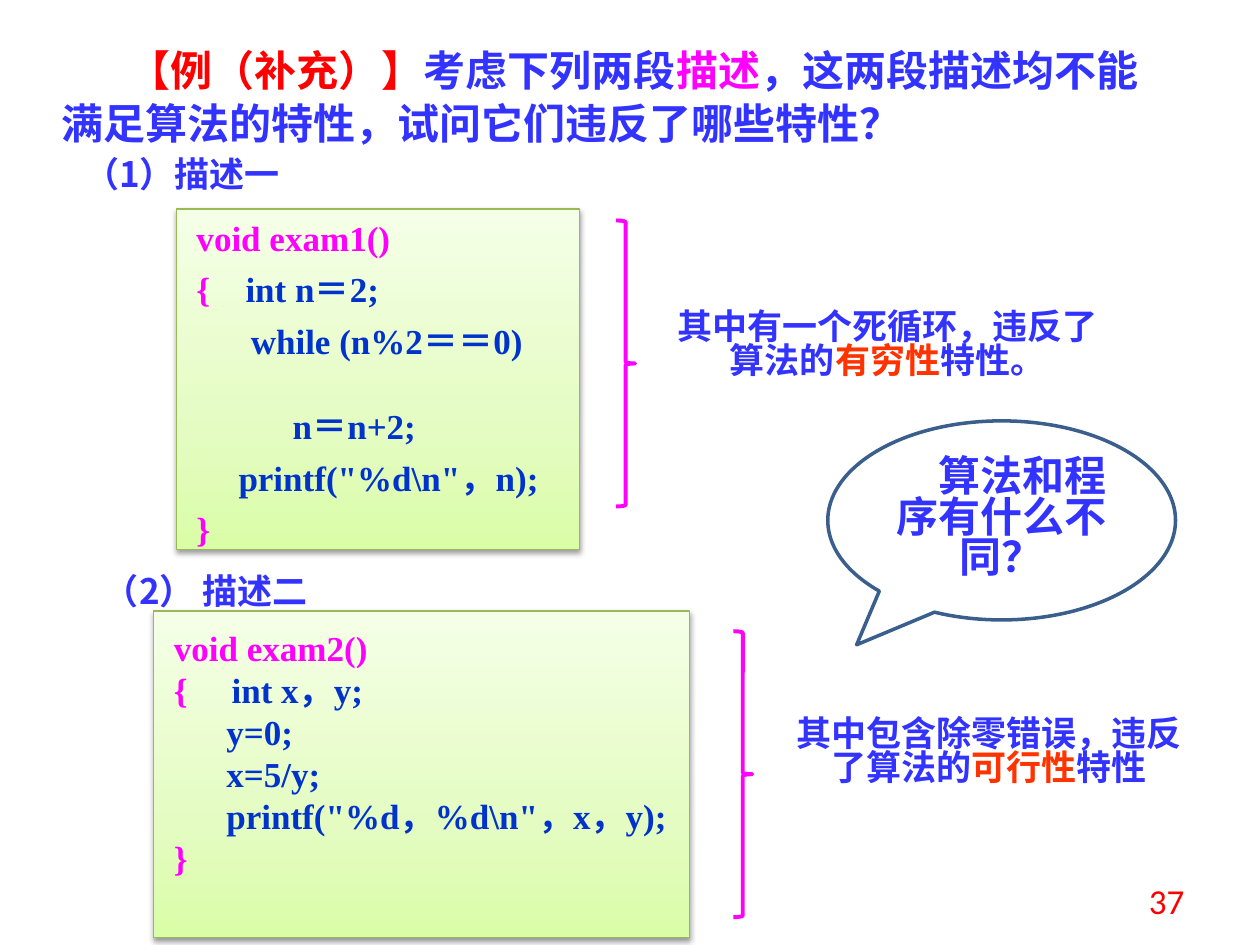
import pptx
import pptx.dml.color
import pptx.enum.shapes
import pptx.enum.text
import pptx.oxml
import pptx.oxml.ns
import pptx.util

COLUMNS, ROWS = 100, 75
WIDTH, HEIGHT = pptx.util.Inches(10), pptx.util.Inches(7.5)
SHAPES = pptx.enum.shapes.MSO_SHAPE
ALIGN = pptx.enum.text.PP_ALIGN
ANCHOR = pptx.enum.text.MSO_ANCHOR
SERIF, SANS, CHINESE = "Times New Roman", "Calibri", "Noto Sans CJK SC"
BLUE, NAVY, MAGENTA, RED, ORANGE = "3333FF", "0033CC", "FF00FF", "FF0000", "FF3300"
GRADIENT = [(0, "DAFDA7"), (35, "E4FCC2"), (100, "F5FFE7")]


def rgb(value):
    return pptx.dml.color.RGBColor.from_string(value)


def place(column, row, columns, rows):
    """Turn grid columns and rows into left, top, width and height."""
    return (int(WIDTH * column / COLUMNS), int(HEIGHT * row / ROWS),
            int(WIDTH * columns / COLUMNS), int(HEIGHT * rows / ROWS))


def set_values(target, values):
    for name, value in values.items():
        setattr(target, name, value)


def add_runs(paragraph, runs, size, font, bold=True):
    for text, color in runs:
        run = paragraph.add_run()
        run.text = text
        set_values(run.font, {"size": pptx.util.Pt(size), "bold": bold, "name": font})
        run.font.color.rgb = rgb(color)
        east_asian = pptx.oxml.parse_xml(
            f'<a:ea {pptx.oxml.ns.nsdecls("a")} typeface="{CHINESE}"/>')
        run.font._element.find(pptx.oxml.ns.qn("a:latin")).addnext(east_asian)


def format_paragraph(paragraph, align, pitch, before=0, margin=0, indent=0):
    """Set alignment, line pitch, space before and indents, all in points."""
    set_values(paragraph, {"alignment": align,
                           "line_spacing": pptx.util.Pt(pitch),
                           "space_before": pptx.util.Pt(before)})
    properties = paragraph._p.get_or_add_pPr()
    properties.set("marL", str(pptx.util.Pt(margin)))
    properties.set("indent", str(pptx.util.Pt(indent)))


def prepare_frame(shape, anchor=ANCHOR.TOP, inset=(0.1, 0.05)):
    frame = shape.text_frame
    across, down = (pptx.util.Inches(length) for length in inset)
    set_values(frame, {"word_wrap": True, "vertical_anchor": anchor,
                       "auto_size": pptx.enum.text.MSO_AUTO_SIZE.NONE,
                       "margin_left": across, "margin_right": across,
                       "margin_top": down, "margin_bottom": down})
    return frame


def add_title(slide, area, runs):
    title = slide.shapes.title
    set_values(title, dict(zip(("left", "top", "width", "height"), place(*area))))
    paragraph = prepare_frame(title).paragraphs[0]
    format_paragraph(paragraph, ALIGN.JUSTIFY, 30, indent=38)
    add_runs(paragraph, runs, 24, SERIF)


def add_text(slide, area, runs, font=CHINESE, align=ALIGN.CENTER, pitch=19.5,
             bold=True, anchor=ANCHOR.TOP):
    box = slide.shapes.add_textbox(*place(*area))
    paragraph = prepare_frame(box, anchor).paragraphs[0]
    format_paragraph(paragraph, align, pitch)
    add_runs(paragraph, runs, 20, font, bold)


def add_outline(slide, kind, area, color, weight):
    shape = slide.shapes.add_shape(kind, *place(*area))
    shape.shadow.inherit = False
    shape.fill.background()
    shape.line.color.rgb = rgb(color)
    shape.line.width = pptx.util.Pt(weight)
    return shape


def add_code(slide, area, lines, pitch):
    """Add a green panel; each line is its runs and its paragraph format."""
    panel = add_outline(slide, SHAPES.RECTANGLE, area, "98B955", 0.75)
    namespace = pptx.oxml.ns.nsdecls("a")
    stops = "".join(f'<a:gs pos="{share * 1000}"><a:srgbClr val="{color}"/></a:gs>'
                    for share, color in GRADIENT)
    properties = panel._element.spPr
    no_fill = properties.find(pptx.oxml.ns.qn("a:noFill"))
    properties.replace(no_fill, pptx.oxml.parse_xml(
        f'<a:gradFill {namespace} rotWithShape="1"><a:gsLst>{stops}</a:gsLst>'
        '<a:lin ang="16200000" scaled="1"/></a:gradFill>'))
    properties.find(pptx.oxml.ns.qn("a:effectLst")).append(pptx.oxml.parse_xml(
        f'<a:outerShdw {namespace} blurRad="{pptx.util.Pt(3.1)}" '
        f'dist="{pptx.util.Pt(1.6)}" dir="5400000" rotWithShape="0">'
        '<a:srgbClr val="000000"><a:alpha val="38000"/></a:srgbClr></a:outerShdw>'))
    frame = prepare_frame(panel, inset=(0.16, 0.12))
    for number, (runs, layout) in enumerate(lines):
        paragraph = frame.add_paragraph() if number else frame.paragraphs[0]
        format_paragraph(paragraph, ALIGN.JUSTIFY, pitch, **layout)
        add_runs(paragraph, runs, 20, SERIF)


def add_callout(slide, area, text):
    callout = add_outline(slide, SHAPES.OVAL_CALLOUT, area, "3A5F8C", 2)
    callout.adjustments[0], callout.adjustments[1] = -0.417, 0.625
    paragraph = prepare_frame(callout, ANCHOR.MIDDLE).paragraphs[0]
    format_paragraph(paragraph, ALIGN.CENTER, 23, indent=24)
    add_runs(paragraph, [(text, BLUE)], 24, CHINESE)


def main():
    presentation = pptx.Presentation()
    set_values(presentation, {"slide_width": WIDTH, "slide_height": HEIGHT})
    slide = presentation.slides.add_slide(presentation.slide_layouts[5])

    add_title(slide, (3.9, 2.9, 87.5, 9), [
        ("【例（补充）】", RED), ("考虑下列两段", BLUE), ("描述", MAGENTA),
        ("，这两段描述均不能满足算法的特性，试问它们违反了哪些特性？", BLUE)])

    add_text(slide, (0.4, 12.2, 28.1, 3.7), [("（1）描述一", BLUE)])
    add_code(slide, (14, 16.6, 32, 27), [
        ([("void exam1()", MAGENTA)], {}),
        ([("{\t", MAGENTA), ("int n＝2;", NAVY)],
         {"before": 10, "margin": 28, "indent": -28}),
        ([("while (n%2＝＝0)", NAVY)], {"before": 10, "indent": 31}),
        ([("n＝n+2;", NAVY)], {"before": 29, "indent": 55}),
        ([('printf("%d\\n"，n);', NAVY)], {"before": 10, "indent": 24}),
        ([("}", MAGENTA)], {"before": 10})], 19.5)
    add_text(slide, (52.1, 24.3, 36.7, 8.4), [
        ("其中有一个死循环，违反了算法的", BLUE), ("有穷性", ORANGE), ("特性。", BLUE)])

    add_text(slide, (1.7, 45.3, 29.3, 3.7), [("（2） 描述二", BLUE)])
    add_code(slide, (12.2, 48.5, 42.5, 25.9), [
        ([("void exam2()", MAGENTA)], {}),
        ([("{\t", MAGENTA), ("int x，y;", NAVY)], {"margin": 33, "indent": -33}),
        *[([(statement, NAVY)], {"indent": 30})
          for statement in ("y=0;", "x=5/y;", 'printf("%d，%d\\n"，x，y);')],
        ([("}", MAGENTA)], {})], 24)
    add_text(slide, (61.7, 56.6, 33.6, 8.4), [
        ("其中包含除零错误，违反了算法的", BLUE), ("可行性", ORANGE), ("特性", BLUE)])

    for column, row in ((48.9, 17.5), (58.2, 50.1)):
        add_outline(slide, SHAPES.RIGHT_BRACE, (column, row, 1.5, 22.7), MAGENTA, 2.25)
    add_callout(slide, (65.7, 33.4, 27.6, 15.8), "算法和程序有什么不同？")
    add_text(slide, (71.7, 69.5, 23.3, 4), [("37", RED)], SANS, ALIGN.RIGHT, 24,
             False, ANCHOR.MIDDLE)
    presentation.save("out.pptx")


if __name__ == "__main__":
    main()
